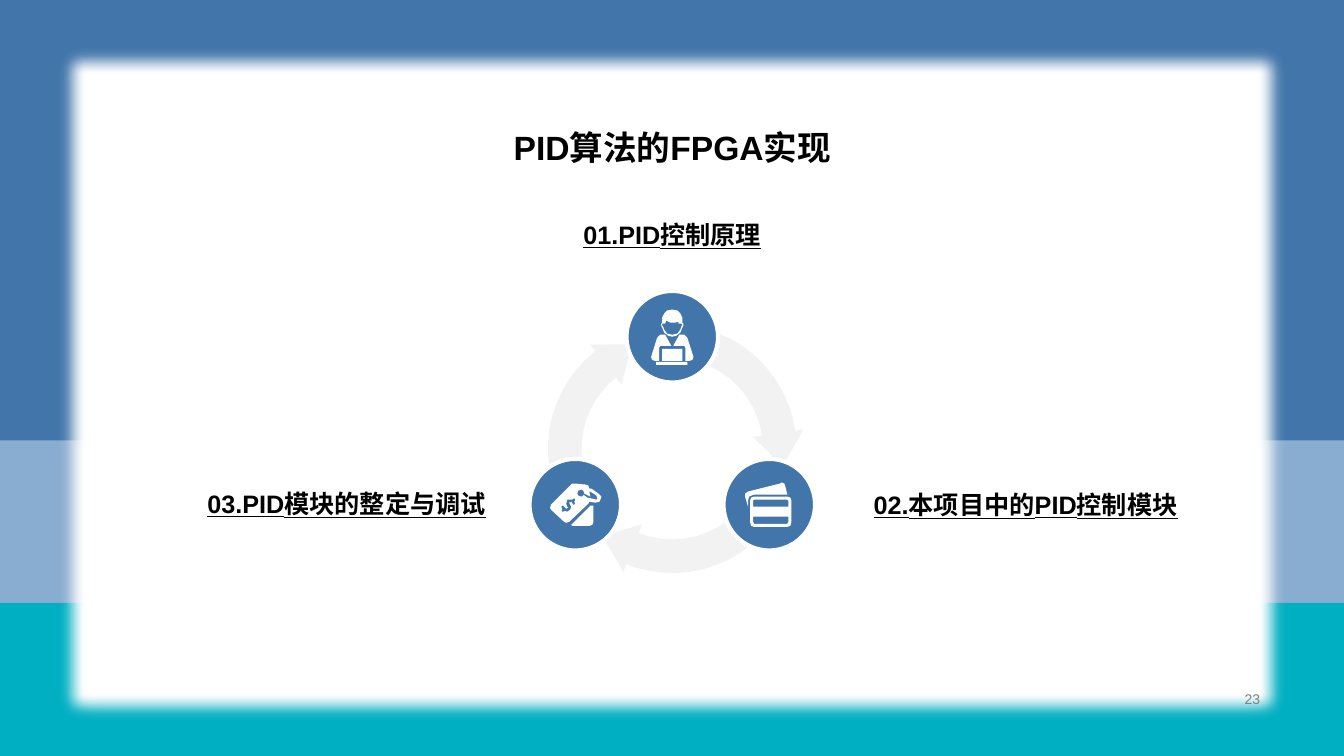
"""Build the slide on implementing the PID algorithm on an FPGA."""
from math import cos, radians, sin

from lxml import etree
from pptx import Presentation
from pptx.dml.color import RGBColor
from pptx.enum.shapes import MSO_SHAPE as Preset
from pptx.enum.text import MSO_ANCHOR as Anchor, PP_ALIGN as Align
from pptx.oxml.ns import qn
from pptx.util import Pt

BLUE = RGBColor(0x42, 0x76, 0xAA)
LIGHT_BLUE = RGBColor(0x89, 0xAD, 0xD1)
TEAL = RGBColor(0x00, 0xAF, 0xC2)
WHITE = RGBColor(0xFF, 0xFF, 0xFF)
PALE_GRAY = RGBColor(0xF2, 0xF2, 0xF2)
GRAY = RGBColor(0x80, 0x80, 0x80)
BLACK = RGBColor(0, 0, 0)

WIDTH, HEIGHT = 960, 540
BANDS = [(306.7, 129.6, LIGHT_BLUE), (430.6, 109.4, TEAL), (0, 314.6, BLUE)]
PANEL = (37.4, 29.5, 885.6, 490.3)
SOFT_EDGE = 12.5

TITLE = ("PID算法的FPGA实现", (248.4, 87.8, 463.7, 35.3))
TOPICS = [
    ("01.PID控制原理", (342.7, 146.2, 275, 42.5), Align.CENTER),
    ("02.本项目中的PID控制模块", (617, 339.1, 275, 42.5), Align.LEFT),
    ("03.PID模块的整定与调试", (79.2, 338.4, 275, 42.5), Align.RIGHT),
]
PAGE_NUMBER = ("23", (678.2, 491, 229, 16.6))

RING_X, RING_Y, RING_RADIUS = 480.2, 320.5, 80
BADGE = 65.4
ARROW_INNER, ARROW_OUTER = 64.8, 88.8
HEAD_INNER, HEAD_OUTER = 58.3, 94.6
ARROW_START, ARROW_END, ARROW_TIP = -98.8, -8.3, 8.8
ICON_UNIT = 0.72

SLEEVE = [(7, -2), (12, -2), (15, 1), (21, 20), (20, 23), (17, 24),
          (13, 24), (13, 11), (12, 9), (1, 9)]
HALF_HEAD = [(0, -27), (5, -26), (8, -23), (10, -19), (10, -14), (11, -13),
             (11, -11), (10, -9), (8, -4), (4, -1), (0, 0)]
FACE = [(-6, -16), (-7, -13), (-10, -13), (-10, -11), (-9, -10), (-8, -7),
        (-5, -3), (0, -2), (5, -3), (8, -7), (9, -10), (10, -12), (9, -13),
        (6, -13), (6, -15), (3, -14), (-2, -14)]
LAPTOP_BASE = [(-16, 25), (15, 25), (15, 28), (-16, 28)]
LAPTOP_LID = [(-10, 12), (10, 12), (10, 24), (-10, 24)]

CARD = [(-15, -8), (18, -8), (21, -7), (22, -4), (22, 17), (21, 21),
        (18, 22), (-15, 22), (-18, 21), (-19, 17), (-19, -4), (-18, -7)]
CARD_TOP = [(-15, -5), (-16, -4), (-16, 2), (19, 2), (19, -4), (18, -5)]
CARD_BOTTOM = [(-16, 12), (-16, 17), (-15, 19), (18, 19), (19, 17), (19, 12)]
BACK_CARD = [(12, -22), (15, -21), (16, -18), (18, -10), (-15, -10),
             (-20, -8), (-21, -4), (-21, 2), (-24, -8), (-24, -11),
             (-21, -13), (11, -21)]

TAG = [(-1, -21), (10, -20), (13, -19), (14, -16), (16, -16), (23, -11),
       (26, -8), (25, -5), (24, -3), (20, -2), (14, -3), (13, -1), (-6, 17),
       (-9, 18), (-11, 17), (-24, 5), (-25, 3), (-24, 0), (-5, -19), (-3, -21)]
TAG_STRING = [(6, -15), (3, -14), (2, -11), (3, -9), (6, -8), (8, -9),
              (8, -10), (12, -7), (17, -6), (21, -5), (22, -6), (21, -9),
              (15, -13), (14, -13), (15, -8), (13, -9), (9, -11), (8, -14)]
DOLLAR = [(-2, -6), (-3, -5), (-8, -5), (-9, -1), (-8, 2), (-7, 3), (-9, 4),
          (-12, 1), (-13, 1), (-14, 2), (-13, 4), (-13, 6), (-14, 6),
          (-13, 7), (-12, 7), (-10, 6), (-8, 7), (-5, 5), (-4, 2), (-5, 0),
          (-6, -2), (-4, -3), (-2, 0), (-1, 0), (0, -1), (-1, -3), (0, -4),
          (0, -6), (-1, -6)]
BACK_TAG = [(16, 1), (18, 1), (18, 17), (17, 20), (14, 21), (-3, 21),
            (-4, 20), (15, 1)]


def mirrored(points):
    return [(-x, y) for x, y in reversed(points)]


ICONS = [
    [LAPTOP_BASE, LAPTOP_LID, SLEEVE, mirrored(SLEEVE),
     HALF_HEAD + mirrored(HALF_HEAD)[1:-1], FACE],
    [CARD, CARD_TOP, CARD_BOTTOM, BACK_CARD],
    [TAG, TAG_STRING, DOLLAR, BACK_TAG],
]


def polar(radius, angle):
    return (RING_X + radius * cos(radians(angle)),
            RING_Y + radius * sin(radians(angle)))


def paint(shape, fill, line=None, line_width=3):
    shape.shadow.inherit = False
    shape.fill.solid()
    shape.fill.fore_color.rgb = fill
    if line is None:
        shape.line.fill.background()
    else:
        shape.line.color.rgb = line
        shape.line.width = Pt(line_width)
    return shape


def add_preset(slide, preset, box, fill, line=None):
    shape = slide.shapes.add_shape(preset, *map(Pt, box))
    return paint(shape, fill, line)


def add_outline(slide, contours, fill):
    scaled = [[(Pt(x), Pt(y)) for x, y in contour] for contour in contours]
    builder = slide.shapes.build_freeform(*scaled[0][0], scale=1.0)
    for index, contour in enumerate(scaled):
        if index:
            builder.move_to(*contour[0])
        builder.add_line_segments(contour[1:], close=True)
    return paint(builder.convert_to_shape(), fill)


def add_text(slide, text, box, size=18, color=BLACK, bold=True,
             underline=False, align=Align.CENTER, anchor=Anchor.MIDDLE):
    frame = slide.shapes.add_textbox(*map(Pt, box)).text_frame
    frame.word_wrap = True
    frame.vertical_anchor = anchor
    paragraph = frame.paragraphs[0]
    paragraph.alignment = align
    run = paragraph.add_run()
    run.text = text
    run.font.name = "Arial"
    run.font.size = Pt(size)
    run.font.bold = bold
    run.font.underline = underline
    run.font.color.rgb = color


def add_background(slide):
    for top, height, color in BANDS:
        add_preset(slide, Preset.RECTANGLE, (0, top, WIDTH, height), color)
    panel = add_preset(slide, Preset.RECTANGLE, PANEL, WHITE)
    effects = panel.element.spPr.find(qn("a:effectLst"))
    etree.SubElement(effects, qn("a:softEdge"), rad=str(Pt(SOFT_EDGE)))


def add_cycle(slide):
    steps = 15
    sweep = [ARROW_START + (ARROW_END - ARROW_START) * step / steps
             for step in range(steps + 1)]
    head = [(HEAD_INNER, ARROW_END), (RING_RADIUS, ARROW_TIP),
            (HEAD_OUTER, ARROW_END)]
    arrow = ([(ARROW_INNER, angle) for angle in sweep] + head
             + [(ARROW_OUTER, angle) for angle in reversed(sweep)])
    turns = [120 * index for index in range(len(ICONS))]
    for turn in turns:
        contour = [polar(radius, angle + turn) for radius, angle in arrow]
        add_outline(slide, [contour], PALE_GRAY)
    for turn, icon in zip(turns, ICONS):
        x, y = polar(RING_RADIUS, turn - 90)
        badge = (x - BADGE / 2, y - BADGE / 2, BADGE, BADGE)
        add_preset(slide, Preset.OVAL, badge, BLUE, line=WHITE)
        contours = [[(x + ICON_UNIT * dx, y + ICON_UNIT * dy)
                     for dx, dy in contour] for contour in icon]
        add_outline(slide, contours, WHITE)


def main():
    presentation = Presentation()
    presentation.slide_width = Pt(WIDTH)
    presentation.slide_height = Pt(HEIGHT)
    slide = presentation.slides.add_slide(presentation.slide_layouts[6])
    add_background(slide)
    add_text(slide, *PAGE_NUMBER, size=10, color=GRAY, bold=False,
             align=Align.RIGHT)
    add_cycle(slide)
    for text, box, align in TOPICS:
        add_text(slide, text, box, underline=True, align=align)
    add_text(slide, *TITLE, size=24, anchor=Anchor.BOTTOM)
    presentation.save("out.pptx")


if __name__ == "__main__":
    main()
